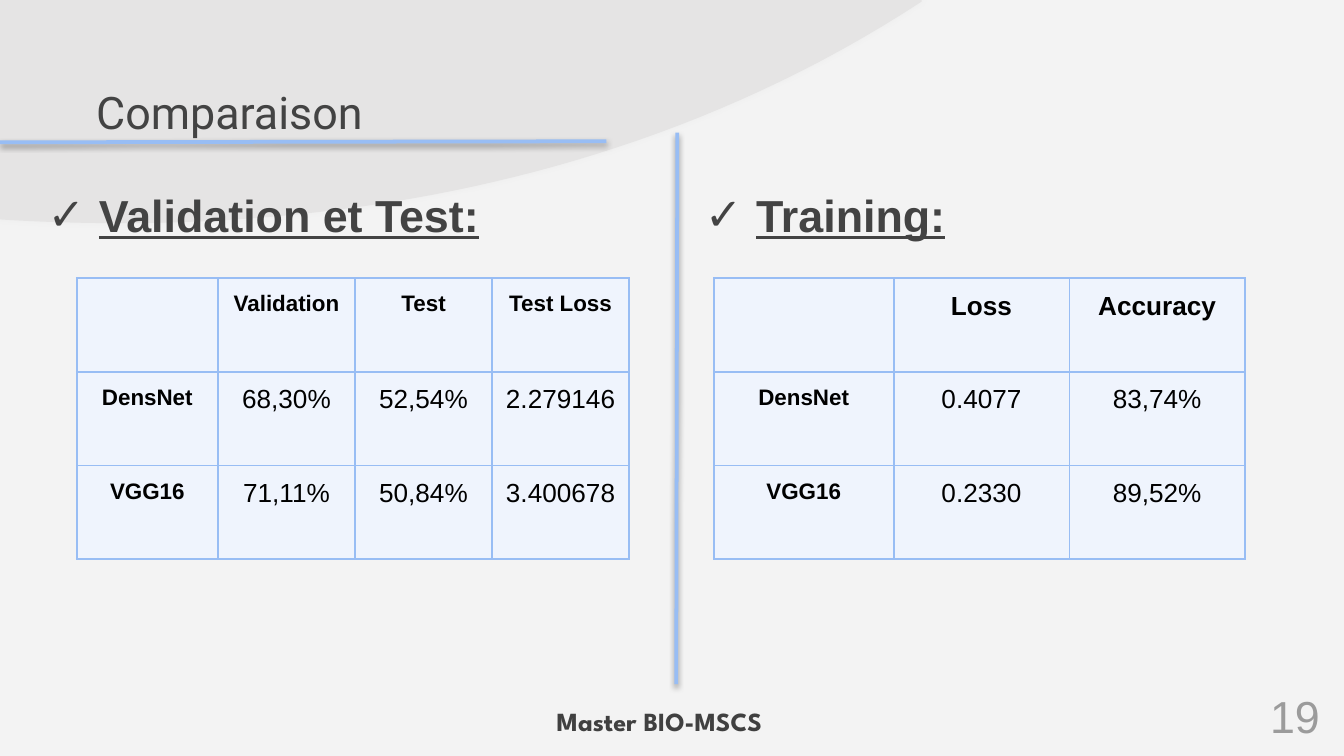
import dataclasses

import lxml.etree
import pptx
import pptx.dml.color
import pptx.enum.shapes
import pptx.enum.text
import pptx.oxml
import pptx.oxml.ns
import pptx.util

Cm = pptx.util.Cm
Pt = pptx.util.Pt
RGB = pptx.dml.color.RGBColor.from_string
ALIGN = pptx.enum.text.PP_ALIGN


@dataclasses.dataclass(frozen=True)
class Theme:
    background: str = "F3F3F3"
    wave: str = "E5E4E4"
    accent: str = "98BDF4"
    cell: str = "EFF4FD"
    ink: str = "434343"
    footer: str = "404040"
    number: str = "9B9B9B"
    black: str = "000000"
    body_font: str = "Arial"
    title_font: str = "Roboto"
    footer_font: str = "League Spartan"
    large: int = 24
    medium: int = 14
    small: int = 12


theme = Theme()


def add_run(paragraph, text, size, color, font=theme.body_font, bold=False):
    run = paragraph.add_run()
    run.text = text
    run.font.size = Pt(size)
    run.font.name = font
    run.font.bold = bold
    run.font.color.rgb = RGB(color)
    return run


def add_shadow(shape, opacity, blur, distance, angle):
    """Append an outer shadow; call after fill and line are set."""
    shape._element.spPr.append(pptx.oxml.parse_xml(
        f'<a:effectLst {pptx.oxml.ns.nsdecls("a")}>'
        f'<a:outerShdw blurRad="{Pt(blur)}" dist="{Pt(distance)}" dir="{angle * 60000}"'
        f' algn="bl" rotWithShape="0"><a:srgbClr val="{theme.black}">'
        f'<a:alpha val="{opacity * 1000}"/></a:srgbClr></a:outerShdw></a:effectLst>'))


presentation = pptx.Presentation()
presentation.slide_width = Cm(25.4)
presentation.slide_height = Cm(14.29)
slide = presentation.slides.add_slide(presentation.slide_layouts[6])
slide.background.fill.solid()
slide.background.fill.fore_color.rgb = RGB(theme.background)

# Background wave: two Bezier curves sampled as short segments
curves = [
    [(17.42, 0.03), (12.45, 3.28), (6.93, 4.22), (2.26, 4.22)],
    [(2.26, 4.22), (-1.9, 4.22), (-5.41, 3.48), (-7.29, 2.97)],
]
steps = 40
outline = [(Cm(17.42), Cm(0))]
for curve in curves:
    for step in range(steps + 1):
        t = step / steps
        weights = ((1 - t) ** 3, 3 * t * (1 - t) ** 2, 3 * t ** 2 * (1 - t), t ** 3)
        outline.append(tuple(
            Cm(sum(weight * point[axis] for weight, point in zip(weights, curve)))
            for axis in (0, 1)))
builder = slide.shapes.build_freeform(Cm(-7.29), Cm(0))
builder.add_line_segments(outline, close=True)
wave = builder.convert_to_shape()
wave.fill.solid()
wave.fill.fore_color.rgb = RGB(theme.wave)
wave.line.fill.background()
add_shadow(wave, 4, 4.5, 1.5, 276)

# Title, page number and footer: box, inset, anchor, alignment, run
TOP = pptx.enum.text.MSO_ANCHOR.TOP
BOTTOM = pptx.enum.text.MSO_ANCHOR.BOTTOM
labels = [
    ((1.57, 1.35, 22.45, 1.6), 0.25, TOP, ALIGN.LEFT,
     ("Comparaison", theme.large, theme.ink, theme.title_font)),
    ((23.55, 11.12, 1.85, 3.17), 0.25, BOTTOM, ALIGN.CENTER,
     ("19", theme.large, theme.number)),
    ((5.77, 13.21, 13.39, 1.02), 0.13, TOP, ALIGN.CENTER,
     ("Master BIO-MSCS", theme.medium, theme.footer, theme.footer_font, True)),
]
for box, inset, anchor, alignment, run_values in labels:
    frame = slide.shapes.add_textbox(*map(Cm, box)).text_frame
    frame.word_wrap = True
    frame.vertical_anchor = anchor
    frame.margin_top = frame.margin_bottom = Cm(inset)
    frame.paragraphs[0].alignment = alignment
    add_run(frame.paragraphs[0], *run_values)

# Title rule and column divider
for ends in [(0, 2.69, 11.46, 2.67), (12.8, 2.51, 12.78, 12.93)]:
    rule = slide.shapes.add_connector(
        pptx.enum.shapes.MSO_CONNECTOR.STRAIGHT, *map(Cm, ends))
    rule.line.color.rgb = RGB(theme.accent)
    rule.line.width = Pt(2)
    add_shadow(rule, 38, 3.1, 1.6, 90)

# Checked headings
for text, left, width in [("Validation et Test:", 0.38, 9.45), ("Training:", 12.8, 11.71)]:
    frame = slide.shapes.add_textbox(Cm(left), Cm(3.43), Cm(width), Cm(1.27)).text_frame
    frame.word_wrap = True
    paragraph = frame.paragraphs[0]
    paragraph.alignment = ALIGN.JUSTIFY
    add_run(paragraph, text, theme.large, theme.ink, bold=True).font.underline = True
    properties = paragraph._p.get_or_add_pPr()
    properties.set("marL", str(Cm(1.24)))
    properties.set("indent", str(Cm(-0.97)))
    bullet_color = lxml.etree.SubElement(properties, pptx.oxml.ns.qn("a:buClr"))
    lxml.etree.SubElement(bullet_color, pptx.oxml.ns.qn("a:srgbClr"), val=theme.ink)
    lxml.etree.SubElement(properties, pptx.oxml.ns.qn("a:buFont"), typeface=theme.body_font)
    lxml.etree.SubElement(properties, pptx.oxml.ns.qn("a:buChar"), char="✓")

# Result tables: left, first and other column widths, header size, rows
row_height = 1.77
tables = [
    (1.45, 2.67, 2.59, theme.small, [
        ["", "Validation", "Test", "Test Loss"],
        ["DensNet", "68,30%", "52,54%", "2.279146"],
        ["VGG16", "71,11%", "50,84%", "3.400678"]]),
    (13.49, 3.4, 3.32, theme.medium, [
        ["", "Loss", "Accuracy"],
        ["DensNet", "0.4077", "83,74%"],
        ["VGG16", "0.2330", "89,52%"]]),
]
for left, first_width, other_width, header_size, rows in tables:
    widths = [first_width] + [other_width] * (len(rows[0]) - 1)
    table = slide.shapes.add_table(
        len(rows), len(widths), Cm(left), Cm(5.26),
        Cm(sum(widths)), Cm(row_height * len(rows))).table
    table.first_row = table.horz_banding = False
    for column, width in zip(table.columns, widths):
        column.width = Cm(width)
    for row_index, row in enumerate(rows):
        table.rows[row_index].height = Cm(row_height)
        for column_index, text in enumerate(row):
            cell = table.cell(row_index, column_index)
            cell.margin_left = cell.margin_right = Cm(0.25)
            cell.margin_top = cell.margin_bottom = Cm(0.25)
            for side in ("lnL", "lnR", "lnT", "lnB"):
                cell._tc.get_or_add_tcPr().append(pptx.oxml.parse_xml(
                    f'<a:{side} {pptx.oxml.ns.nsdecls("a")} w="{Pt(1)}"><a:solidFill>'
                    f'<a:srgbClr val="{theme.accent}"/></a:solidFill></a:{side}>'))
            cell.fill.solid()
            cell.fill.fore_color.rgb = RGB(theme.cell)
            if text:
                is_header, is_name = row_index == 0, column_index == 0
                size = header_size if is_header else theme.small if is_name else theme.medium
                paragraph = cell.text_frame.paragraphs[0]
                paragraph.alignment = ALIGN.CENTER
                add_run(paragraph, text, size, theme.black, bold=is_header or is_name)

presentation.save("out.pptx")
